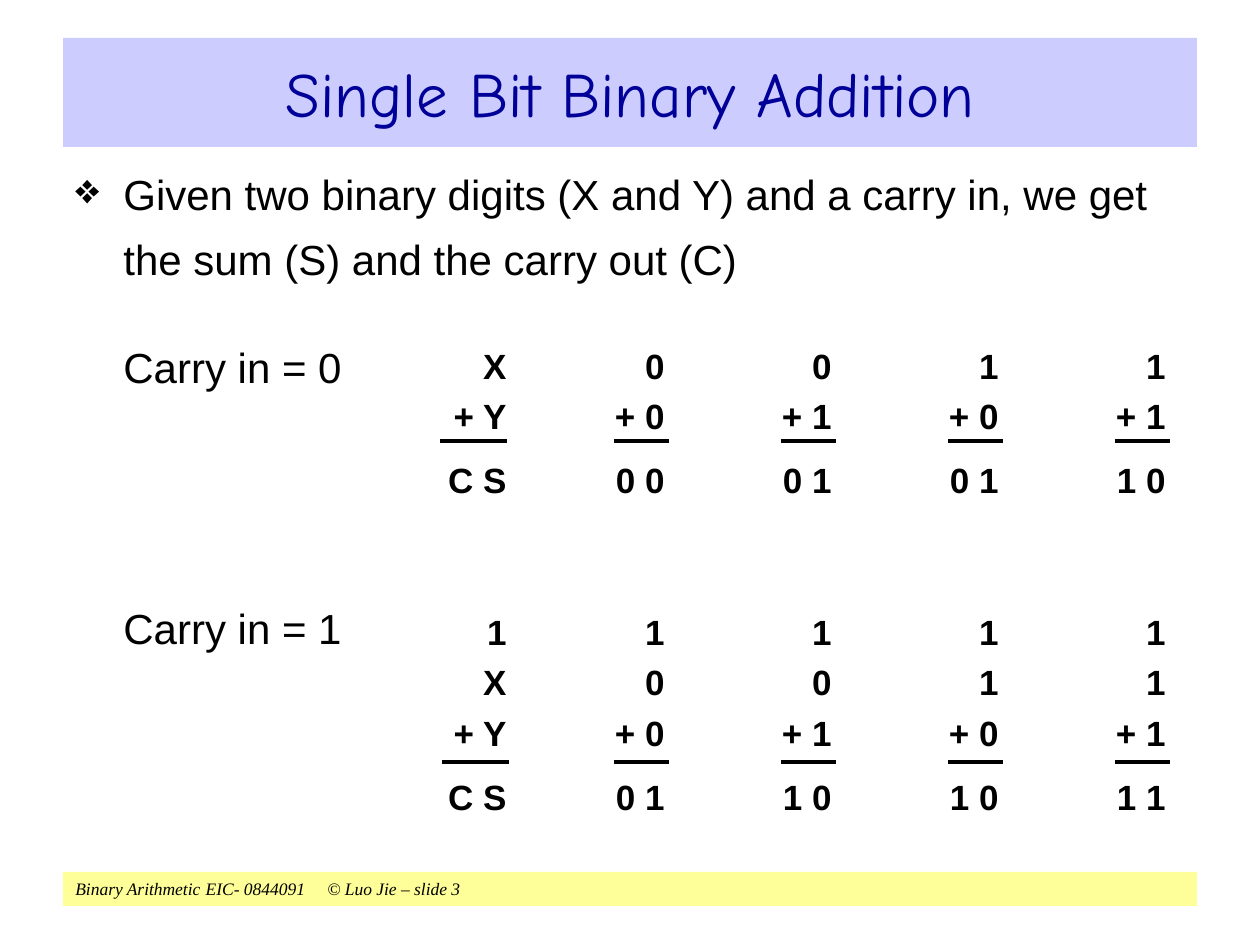
from dataclasses import dataclass

from lxml import etree
from pptx import Presentation
from pptx import util as u
from pptx.dml.color import RGBColor
from pptx.enum import shapes, text
from pptx.oxml import ns

SCALE = 914400 / 126


def px(length):
    return u.Emu(round(length * SCALE))


@dataclass(frozen=True)
class Theme:
    ink: str = "000000"
    title_ink: str = "000099"
    title_fill: str = "CCCCFF"
    footer_fill: str = "FFFF99"
    title_font: str = "Comic Neue"
    body_font: str = "Arial"
    footer_font: str = "Times New Roman"
    title_size: int = 36
    body_size: int = 24
    sum_size: int = 20
    footer_size: int = 10
    rule_width: float = 2.25


class SlideBuilder:
    def __init__(self, page, theme):
        self.page = page
        self.theme = theme

    def set_font(self, para, name, size, color, bold=False, italic=False):
        font = para.font
        font.name, font.size = name, u.Pt(size)
        font.bold, font.italic = bold, italic
        font.color.rgb = RGBColor.from_string(color)

    def place(self, box, left, top, width, height):
        box.left, box.top = px(left), px(top)
        box.width, box.height = px(width), px(height)

    def fill(self, box, color):
        box.fill.solid()
        box.fill.fore_color.rgb = RGBColor.from_string(color)

    def title(self, wording, *bounds):
        box = self.page.shapes.title
        self.place(box, *bounds)
        self.fill(box, self.theme.title_fill)
        frame = box.text_frame
        frame.text = wording
        frame.auto_size = text.MSO_AUTO_SIZE.NONE
        frame.vertical_anchor = text.MSO_ANCHOR.MIDDLE
        para = frame.paragraphs[0]
        para.alignment = text.PP_ALIGN.CENTER
        self.set_font(para, self.theme.title_font, self.theme.title_size, self.theme.title_ink)

    def footer(self, wording, *bounds):
        box = self.page.shapes.add_shape(shapes.MSO_SHAPE.RECTANGLE, *map(px, bounds))
        box.shadow.inherit = False
        self.fill(box, self.theme.footer_fill)
        box.line.fill.background()
        frame = box.text_frame
        frame.text = wording
        frame.vertical_anchor = text.MSO_ANCHOR.TOP
        para = frame.paragraphs[0]
        para.alignment = text.PP_ALIGN.LEFT
        self.set_font(para, self.theme.footer_font, self.theme.footer_size,
                      self.theme.ink, italic=True)

    def text_box(self, parent, lines, *bounds):
        frame = parent.shapes.add_textbox(*map(px, bounds)).text_frame
        frame.word_wrap = True
        frame.text = "\n".join(lines)
        return frame.paragraphs

    def body(self, lines, gaps, indent, *bounds):
        paras = self.text_box(self.page, lines, *bounds)
        for para, gap in zip(paras, gaps):
            para.line_spacing = 1.3
            para.space_before = u.Pt(gap)
            self.set_font(para, self.theme.body_font, self.theme.body_size, self.theme.ink)
            para._p.get_or_add_pPr().set("marL", str(px(indent)))
        self.bullet(paras[0], "❖", indent)

    def bullet(self, para, mark, indent):
        props = para._p.get_or_add_pPr()
        props.set("indent", str(-px(indent)))
        symbol = etree.Element(ns.qn("a:buChar"), char=mark)
        props.find(ns.qn("a:defRPr")).addprevious(symbol)

    def addition(self, rows, left, top, width, height, rule_left, rule_top, rule_width):
        group = self.page.shapes.add_group_shape()
        paras = self.text_box(group, rows, left, top, width, height)
        for para in paras:
            para.alignment = text.PP_ALIGN.RIGHT
            para.space_before = u.Pt(5)
            self.set_font(para, self.theme.body_font, self.theme.sum_size,
                          self.theme.ink, bold=True)
        paras[-1].space_before = u.Pt(12.5)
        self.rule(group, rule_left, rule_top, rule_width)

    def rule(self, parent, left, top, width):
        line = parent.shapes.add_connector(
            shapes.MSO_CONNECTOR.STRAIGHT, px(left), px(top), px(left + width), px(top))
        line.line.color.rgb = RGBColor.from_string(self.theme.ink)
        line.line.width = u.Pt(self.theme.rule_width)
        etree.SubElement(line._element.spPr, ns.qn("a:effectLst"))


def main():
    deck = Presentation()
    deck.slide_width, deck.slide_height = px(1260), px(945)
    page = deck.slides.add_slide(deck.slide_layouts[5])
    slide = SlideBuilder(page, Theme())

    slide.footer("Binary Arithmetic\t EIC- 0844091 \t© Luo Jie – slide 3", 63, 872, 1134, 34)
    slide.title("Single Bit Binary Addition", 63, 38, 1134, 109)
    slide.body(
        ["Given two binary digits (X and Y) and a carry in, we get "
         "the sum (S) and the carry out (C)", "Carry in = 0", "Carry in = 1"],
        [12, 24, 112], 48, 63, 147, 1134, 709)

    digit_pairs = [(0, 0), (0, 1), (1, 0), (1, 1)]
    blocks = [([], 0, 338, 170, 441, 440), (["1"], 1, 604, 220, 762, 442)]
    for carry_row, carry, top, height, rule_top, label_rule in blocks:
        slide.addition(carry_row + ["X", "+ Y", "C S"],
                       423, top, 96, height, label_rule, rule_top, 67)
        for column, (x, y) in enumerate(digit_pairs):
            left = 598 + 167 * column
            carry_out, digit = divmod(x + y + carry, 2)
            rows = carry_row + [f"{x}", f"+ {y}", f"{carry_out} {digit}"]
            slide.addition(rows, left, top, 79, height, left + 16, rule_top, 55)

    deck.save("out.pptx")


if __name__ == "__main__":
    main()
